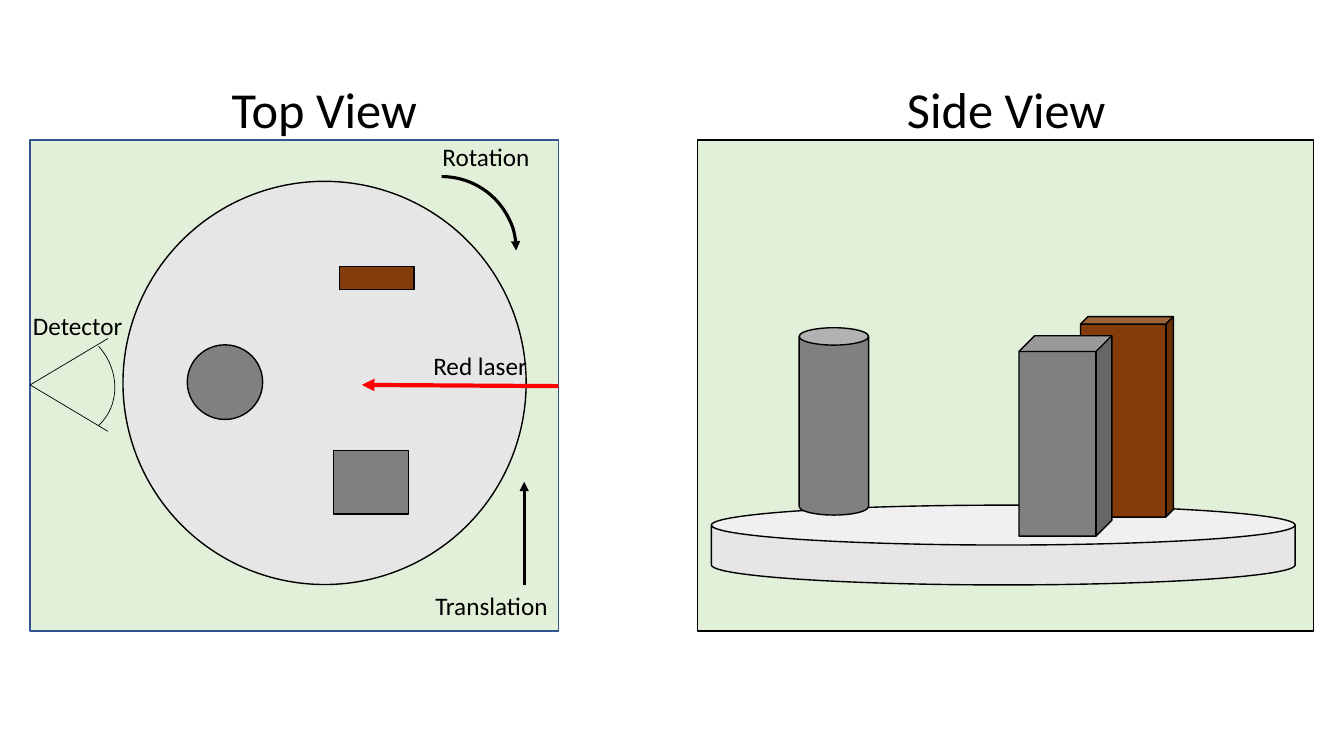
"""Build a slide with the top and side views of a rotating laser scanner."""
from lxml.etree import SubElement
from pptx import Presentation
from pptx.dml.color import RGBColor
from pptx.enum.shapes import MSO_CONNECTOR, MSO_SHAPE
from pptx.enum.text import MSO_ANCHOR, MSO_AUTO_SIZE, PP_ALIGN
from pptx.oxml.ns import qn
from pptx.util import Cm, Pt

BLACK = RGBColor(0x00, 0x00, 0x00)
RED = RGBColor(0xFF, 0x00, 0x00)
BLUE = RGBColor(0x32, 0x54, 0x91)
PALE_GREEN = RGBColor(0xE2, 0xF0, 0xD9)
LIGHT_GREY = RGBColor(0xE7, 0xE6, 0xE6)
GREY = RGBColor(0x80, 0x80, 0x80)
BROWN = RGBColor(0x84, 0x3C, 0x0B)
FONT = "Calibri"
PANEL_TOP, PANEL_HEIGHT = 3.53, 12.37


def add_solid(slide, preset, box, fill, outline=BLACK, depth=None):
    """Add a filled preset shape; depth sets its first adjustment."""
    solid = slide.shapes.add_shape(preset, *map(Cm, box))
    solid.shadow.inherit = False
    solid.fill.solid()
    solid.fill.fore_color.rgb = fill
    solid.line.color.rgb = outline
    solid.line.width = Pt(1)
    if depth is not None:
        solid.adjustments[0] = depth


def add_arrowhead(stroke):
    """Put a triangle at the end of a line or arc."""
    outline = stroke.element.spPr.find(qn("a:ln"))
    SubElement(outline, qn("a:tailEnd"), type="triangle")


def add_arc(slide, box, width, rotation=0, arrow=False):
    """Add an unfilled quarter arc."""
    arc = slide.shapes.add_shape(MSO_SHAPE.ARC, *map(Cm, box))
    arc.shadow.inherit = False
    arc.fill.background()
    arc.line.color.rgb = BLACK
    arc.line.width = Pt(width)
    arc.rotation = rotation
    if arrow:
        add_arrowhead(arc)


def add_line(slide, start, end, width, color=BLACK, arrow=False):
    """Add a straight line, with an arrowhead at its end on request."""
    line = slide.shapes.add_connector(
        MSO_CONNECTOR.STRAIGHT, *map(Cm, start + end))
    line.line.color.rgb = color
    line.line.width = Pt(width)
    SubElement(line.element.spPr, qn("a:effectLst"))
    if arrow:
        add_arrowhead(line)


def style_text(paragraph, size):
    """Give a paragraph the slide's plain black font."""
    paragraph.font.name = FONT
    paragraph.font.size = Pt(size)
    paragraph.font.bold = False
    paragraph.font.color.rgb = BLACK


def add_label(slide, text, left, top, width):
    """Add a one-line label."""
    label = slide.shapes.add_textbox(Cm(left), Cm(top), Cm(width), Cm(1.03))
    frame = label.text_frame
    frame.word_wrap = False
    frame.auto_size = MSO_AUTO_SIZE.SHAPE_TO_FIT_TEXT
    frame.text = text
    style_text(frame.paragraphs[0], 18)


def set_heading(heading, text, left, width):
    """Place a view's heading above its panel."""
    heading.left, heading.top = Cm(left), Cm(1.85)
    heading.width, heading.height = Cm(width), Cm(1.8)
    frame = heading.text_frame
    frame.text = text
    frame.word_wrap = False
    frame.auto_size = MSO_AUTO_SIZE.NONE
    frame.vertical_anchor = MSO_ANCHOR.TOP
    paragraph = frame.paragraphs[0]
    paragraph.alignment = PP_ALIGN.CENTER
    paragraph.space_before = Pt(0)
    style_text(paragraph, 36)


def draw_top_view(slide):
    """Draw the scanner from above."""
    add_solid(slide, MSO_SHAPE.RECTANGLE,
              (0.76, PANEL_TOP, 13.31, PANEL_HEIGHT), PALE_GREEN, BLUE)
    add_solid(slide, MSO_SHAPE.OVAL, (3.1, 4.57, 10.16, 10.16), LIGHT_GREY)
    add_solid(slide, MSO_SHAPE.OVAL, (4.72, 8.69, 1.9, 1.88), GREY)
    add_solid(slide, MSO_SHAPE.RECTANGLE, (8.41, 11.35, 1.88, 1.6), GREY)
    add_solid(slide, MSO_SHAPE.RECTANGLE, (8.56, 6.71, 1.88, 0.58), BROWN)

    detector_tip = (0.76, 9.7)
    for edge_y in (8.53, 10.87):
        add_line(slide, (2.72, edge_y), detector_tip, 0.5)
    add_arc(slide, (0, 8.28, 2.97, 2.69), 0.5, rotation=48.2)

    add_line(slide, (14.07, 9.73), (9.12, 9.7), 3, RED, arrow=True)
    add_arc(slide, (9.25, 4.45, 3.76, 3.73), 2.25, arrow=True)
    add_line(slide, (13.21, 14.73), (13.21, 12.14), 2.25, arrow=True)

    for text, left, top, width in (
            ("Red laser", 10.67, 8.71, 2.9),
            ("Detector", 0.58, 7.7, 2.79),
            ("Rotation", 10.9, 3.43, 2.72),
            ("Translation", 10.72, 14.76, 3.38)):
        add_label(slide, text, left, top, width)


def draw_side_view(slide):
    """Draw the turntable and its objects from the side."""
    add_solid(slide, MSO_SHAPE.RECTANGLE,
              (17.58, PANEL_TOP, 15.52, PANEL_HEIGHT), PALE_GREEN)
    add_solid(slide, MSO_SHAPE.CAN, (17.93, 12.73, 14.71, 2.01),
              LIGHT_GREY, depth=0.5)
    add_solid(slide, MSO_SHAPE.CUBE, (27.23, 7.98, 2.34, 5.05),
              BROWN, depth=0.08)
    add_solid(slide, MSO_SHAPE.CAN, (20.14, 8.26, 1.75, 4.72),
              GREY, depth=0.25)
    add_solid(slide, MSO_SHAPE.CUBE, (25.68, 8.46, 2.34, 5.05),
              GREY, depth=0.17)


def main():
    """Build and save the slide."""
    deck = Presentation()
    deck.slide_width, deck.slide_height = Cm(33.87), Cm(19.05)
    comparison = deck.slide_layouts.get_by_name("Comparison")
    slide = deck.slides.add_slide(comparison)
    title, top_heading, top_body, side_heading, side_body = slide.placeholders
    for unused in (title, top_body, side_body):
        unused.element.getparent().remove(unused.element)
    set_heading(top_heading, "Top View", 5.56, 5.23)
    set_heading(side_heading, "Side View", 22.58, 5.56)
    draw_side_view(slide)
    draw_top_view(slide)
    deck.save("out.pptx")


if __name__ == "__main__":
    main()
